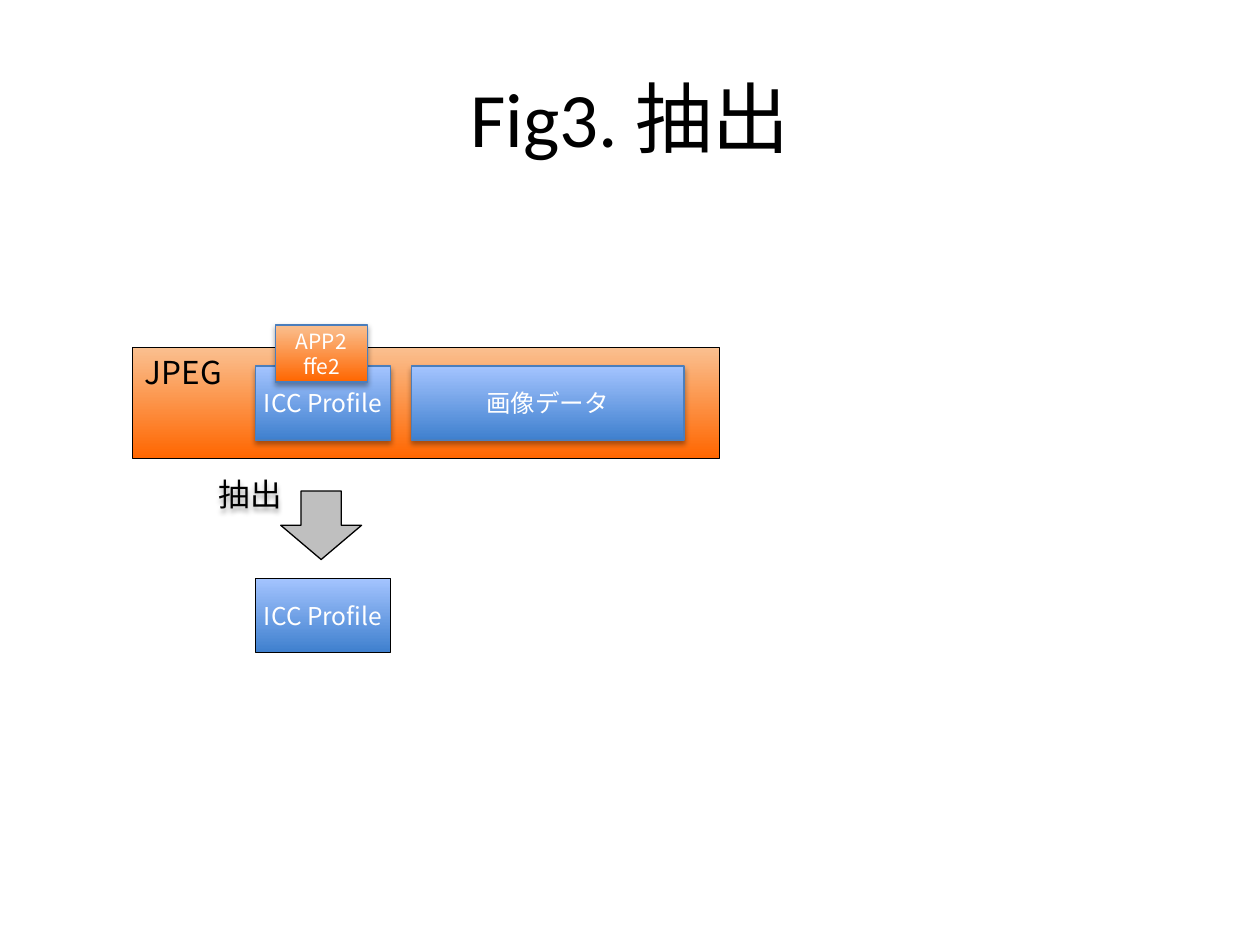
from lxml.etree import SubElement
from pptx import Presentation
from pptx.dml.color import RGBColor
from pptx.enum.shapes import MSO_SHAPE
from pptx.enum.text import MSO_ANCHOR, PP_ALIGN
from pptx.oxml import parse_xml
from pptx.oxml.ns import nsdecls, qn
from pptx.util import Cm, Pt

BLACK = RGBColor(0x00, 0x00, 0x00)
WHITE = RGBColor(0xFF, 0xFF, 0xFF)
GRAY = RGBColor(0xBF, 0xBF, 0xBF)
EDGE_BLUE = RGBColor(0x4B, 0x7E, 0xBC)
# Gradients run from the bottom colour to the top colour
ORANGE = (RGBColor(0xFF, 0x66, 0x00), RGBColor(0xFA, 0xC0, 0x90))
BLUE = (RGBColor(0x3F, 0x80, 0xCE), RGBColor(0xA4, 0xC4, 0xFF))

SHADOW = (
    f'<a:effectLst {nsdecls("a")}>'
    '<a:outerShdw blurRad="39370" dist="22860" dir="5400000" rotWithShape="0">'
    '<a:srgbClr val="000000"><a:alpha val="35000"/></a:srgbClr>'
    '</a:outerShdw></a:effectLst>'
)


class FigurePage:
    """Holds the fonts and the slide that is being filled."""

    title_font = "Calibri"
    body_font = "Noto Sans CJK JP"

    def __init__(self, deck):
        self.page = deck.slides.add_slide(deck.slide_layouts[5])

    def set_text(self, frame, lines, size, color, font=None,
                 align=PP_ALIGN.CENTER, anchor=MSO_ANCHOR.MIDDLE, wrap=True):
        frame.word_wrap = wrap
        frame.vertical_anchor = anchor
        for index, line in enumerate(lines):
            para = frame.add_paragraph() if index else frame.paragraphs[0]
            para.alignment = align
            span = para.add_run()
            span.text = line
            span.font.size = Pt(size)
            span.font.color.rgb = color
            span.font.name = font or self.body_font
            SubElement(span.font._element, qn("a:ea"), typeface=self.body_font)

    def cast_shadow(self, shape):
        for effects in shape._element.spPr.findall(qn("a:effectLst")):
            shape._element.spPr.remove(effects)
        shape._element.spPr.append(parse_xml(SHADOW))

    def title(self, text, left, top, width, height):
        box = self.page.shapes.title
        box.left, box.top = Cm(left), Cm(top)
        box.width, box.height = Cm(width), Cm(height)
        self.set_text(box.text_frame, [text], 44, BLACK, self.title_font)

    def shape(self, kind, left, top, width, height, edge):
        shape = self.page.shapes.add_shape(
            kind, Cm(left), Cm(top), Cm(width), Cm(height))
        shape.shadow.inherit = False
        shape.line.color.rgb = edge
        shape.line.width = Pt(0.75)
        return shape

    def block(self, lines, left, top, width, height, colors, size,
              edge=EDGE_BLUE, color=WHITE, shadow=True, **layout):
        box = self.shape(MSO_SHAPE.RECTANGLE, left, top, width, height, edge)
        box.fill.gradient()
        box.fill.gradient_angle = 90
        for stop, stop_color in zip(box.fill.gradient_stops, colors):
            stop.color.rgb = stop_color
        if shadow:
            self.cast_shadow(box)
        self.set_text(box.text_frame, lines, size, color, **layout)

    def down_arrow(self, left, top, width, height):
        arrow = self.shape(MSO_SHAPE.DOWN_ARROW, left, top, width, height, BLACK)
        arrow.fill.solid()
        arrow.fill.fore_color.rgb = GRAY

    def label(self, text, left, top, width, height):
        box = self.page.shapes.add_textbox(
            Cm(left), Cm(top), Cm(width), Cm(height))
        self.cast_shadow(box)
        self.set_text(box.text_frame, [text], 18, BLACK, wrap=False)


def main():
    deck = Presentation()
    deck.slide_width, deck.slide_height = Cm(25.4), Cm(19.05)
    figure = FigurePage(deck)
    figure.title("Fig3. 抽出", 1.27, 0.76, 22.86, 3.18)

    # JPEG file and its segments
    profile_left, profile_width, block_height = 5.15, 2.73, 1.49
    figure.block(["JPEG"], 2.67, 7, 11.84, 2.24, ORANGE, 18, edge=BLACK,
                 color=BLACK, shadow=False, align=PP_ALIGN.LEFT,
                 anchor=MSO_ANCHOR.TOP)
    figure.block(["画像データ"], 8.29, 7.38, 5.5, block_height, BLUE, 14,
                 wrap=False)
    figure.block(["ICC Profile"], profile_left, 7.38, profile_width,
                 block_height, BLUE, 14, wrap=False)
    figure.block(["APP2", "ffe2"], 5.55, 6.55, 1.86, 1.15, ORANGE, 12)

    # Extraction step and the extracted profile
    figure.down_arrow(5.66, 9.9, 1.63, 1.38)
    figure.block(["ICC Profile"], profile_left, 11.66, profile_width,
                 block_height, BLUE, 14, edge=BLACK, shadow=False, wrap=False)
    figure.label("抽出", 3.99, 9.3, 2.11, 1.32)

    deck.save("out.pptx")


if __name__ == "__main__":
    main()
